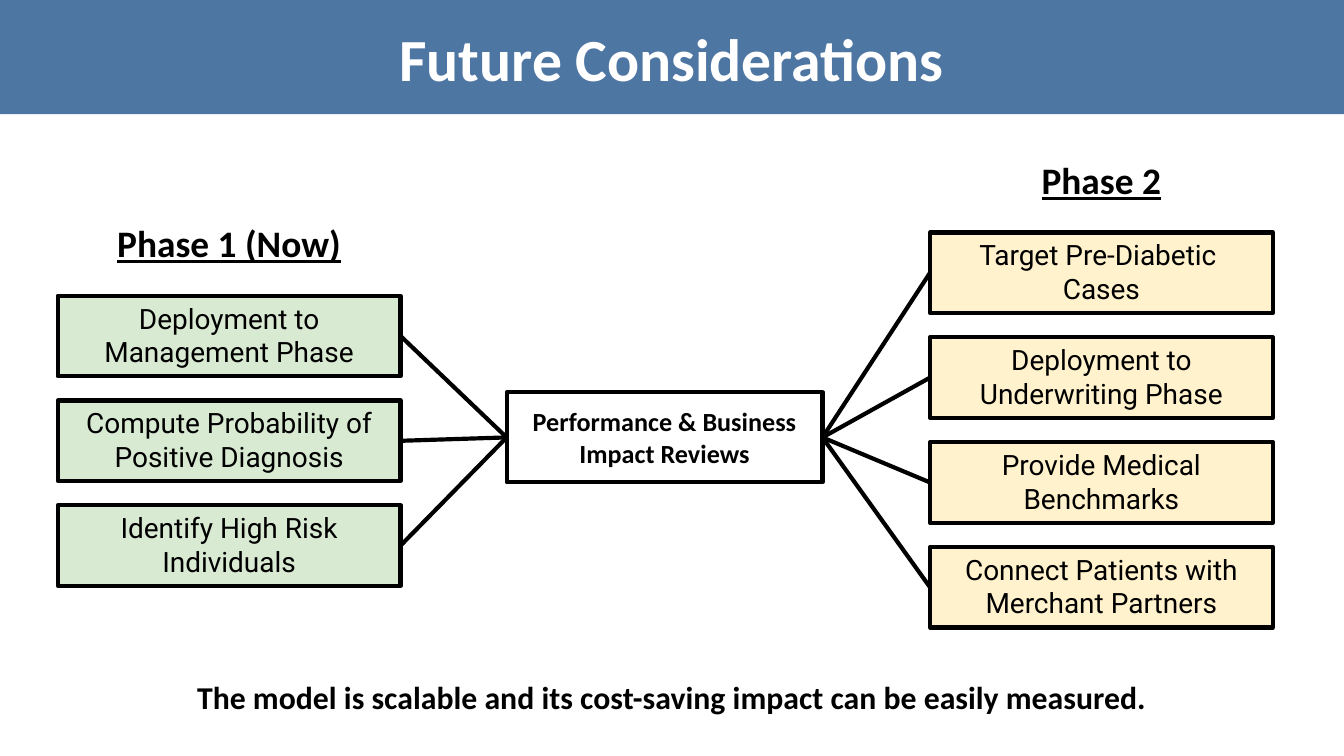
import pptx
import pptx.util
import pptx.dml.color
import pptx.enum.shapes
import pptx.enum.text
import pptx.oxml.ns
from lxml import etree

Inches = pptx.util.Inches
Pt = pptx.util.Pt
Anchor = pptx.enum.text.MSO_ANCHOR

TITLE = "Future Considerations"
REVIEW = "Performance & Business Impact Reviews"
CLOSING = "The model is scalable and its cost-saving impact can be easily measured."
PHASES = [
    {"head": "Phase 1 (Now)", "left": 0.43, "top": 2.2, "fill": "green",
     "side": 3, "hub": 1,
     "steps": ["Deployment to Management Phase",
               "Compute Probability of Positive Diagnosis",
               "Identify High Risk Individuals"]},
    {"head": "Phase 2", "left": 6.92, "top": 1.73, "fill": "cream",
     "side": 1, "hub": 3,
     "steps": ["Target Pre-Diabetic \nCases",
               "Deployment to Underwriting Phase",
               "Provide Medical Benchmarks",
               "Connect Patients with Merchant Partners"]},
]
COLORS = {"navy": "033D7D", "green": "D9EAD3", "cream": "FFF2CC",
          "black": "000000", "white": "FFFFFF"}
WIDTH, HEIGHT, STEP = 2.55, 0.6, 0.78
SLIM, WIDE = (0.07, 0.04), (0.1, 0.1)


def color(name):
    return pptx.dml.color.RGBColor.from_string(COLORS[name])


def write(shape, text, size, font="Calibri", ink="black", bold=True,
          under=False, pad=SLIM, anchor=Anchor.TOP):
    frame = shape.text_frame
    frame.text = text
    frame.word_wrap = True
    frame.auto_size = pptx.enum.text.MSO_AUTO_SIZE.NONE
    frame.vertical_anchor = anchor
    frame.margin_left = frame.margin_right = Inches(pad[0])
    frame.margin_top = frame.margin_bottom = Inches(pad[1])
    for para in frame.paragraphs:
        para.alignment = pptx.enum.text.PP_ALIGN.CENTER
        para.font.name = font
        para.font.size = Pt(size)
        para.font.bold = bold
        para.font.underline = under
        para.font.color.rgb = color(ink)


def add_box(left, top, width, height, fill):
    box = slide.shapes.add_shape(
        pptx.enum.shapes.MSO_SHAPE.RECTANGLE,
        Inches(left), Inches(top), Inches(width), Inches(height))
    box.shadow.inherit = False
    box.fill.solid()
    box.fill.fore_color.rgb = color(fill)
    box.line.color.rgb = color("black")
    box.line.width = Pt(2.25)
    return box


def add_label(left, top, width, height):
    return slide.shapes.add_textbox(
        Inches(left), Inches(top), Inches(width), Inches(height))


def join(start, side, end, port):
    link = slide.shapes.add_connector(
        pptx.enum.shapes.MSO_CONNECTOR.STRAIGHT, 0, 0, 0, 0)
    link.begin_connect(start, side)
    link.end_connect(end, port)
    link.line.color.rgb = color("black")
    link.line.width = Pt(2.25)
    etree.SubElement(link._element.spPr, pptx.oxml.ns.qn("a:effectLst"))


deck = pptx.Presentation()
deck.slide_width = Inches(10)
deck.slide_height = Inches(10 * 9 / 16)
slide = deck.slides.add_slide(deck.slide_layouts[5])

title = slide.shapes.title
title.left, title.top = Inches(0), Inches(0)
title.width, title.height = Inches(10), Inches(0.85)
title.fill.solid()
title.fill.fore_color.rgb = color("navy")
tint = title._element.spPr.find(".//" + pptx.oxml.ns.qn("a:srgbClr"))
etree.SubElement(tint, pptx.oxml.ns.qn("a:alpha"), val="70000")
write(title, TITLE, 32, ink="white", anchor=Anchor.MIDDLE)

hub = add_box(3.77, 2.92, 2.35, 0.67, "white")
write(hub, REVIEW, 14, pad=WIDE)

for phase in PHASES:
    left, top = phase["left"], phase["top"]
    write(add_label(left, top - 0.6, WIDTH, 0.36), phase["head"], 20, under=True)
    for row, step in enumerate(phase["steps"]):
        box = add_box(left, top + row * STEP, WIDTH, HEIGHT, phase["fill"])
        write(box, step, 15, font="Roboto", bold=False)
        join(box, phase["side"], hub, phase["hub"])

write(add_label(0.15, 4.94, 9.7, 0.49), CLOSING, 17, pad=WIDE)

deck.save("out.pptx")
